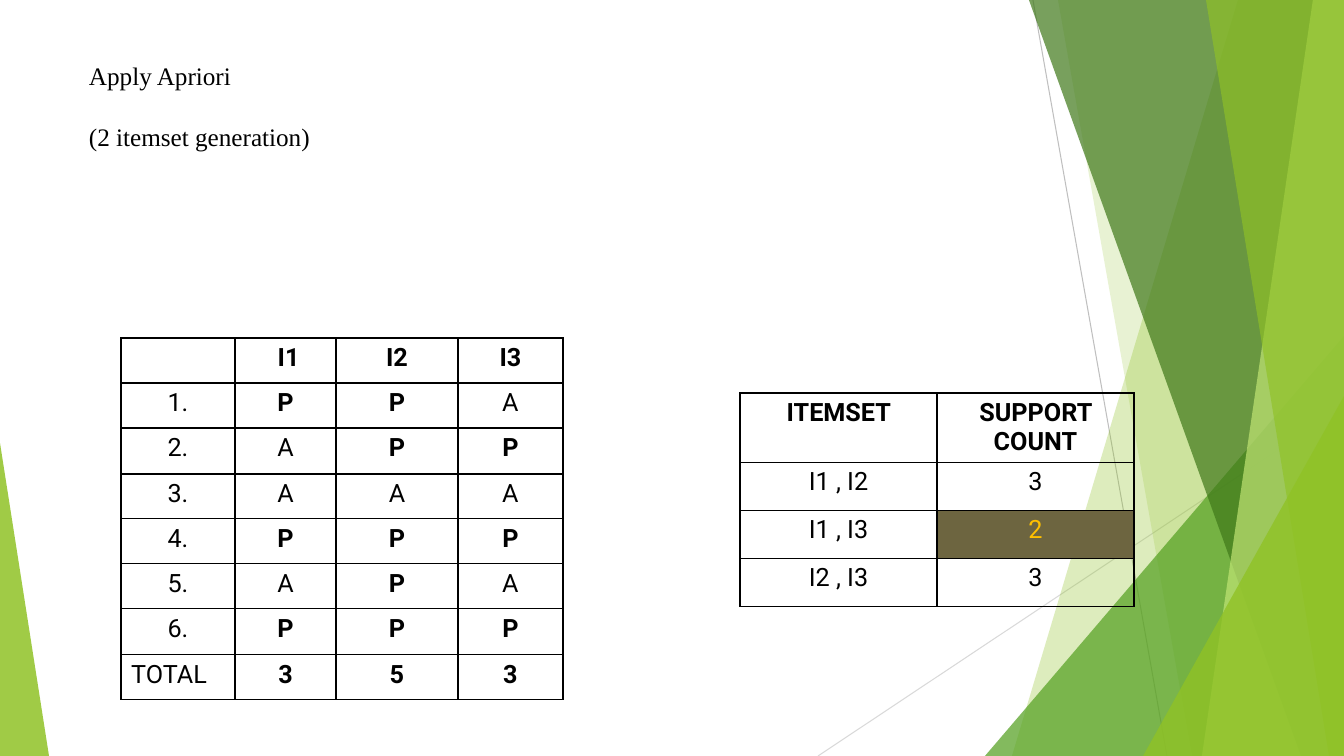
from lxml.etree import SubElement
from pptx import Presentation
from pptx.dml.color import RGBColor
from pptx.enum.shapes import MSO_CONNECTOR as Connector, MSO_SHAPE as Shape
from pptx.enum.text import MSO_AUTO_SIZE as AutoSize, PP_ALIGN as Align
from pptx.oxml.ns import qn
from pptx.util import Emu, Pt

SCALE = 914400 / 100.8
WIDTH, HEIGHT = 1344, 756
BLACK = "000000"
HAIRLINES = [
    ((1033, 0), (1167, HEIGHT), "BFBFBF"),
    ((WIDTH, 406), (818, HEIGHT), "D9D9D9"),
]
BACK_BANDS = [(1238, 1012, "90C226", 30), (1058, 1192, "90C226", 20)]
FRONT_BANDS = [
    (1029, 1301, "3F7819", 70),
    (1313, 1202, "C0E474", 70),
    (1206, 1329, "90C226", 65),
]
PRESENCE = [
    ["", " I1", "I2", "I3"],
    ["1.", "P", "P", "A"],
    ["2.", "A", "P", "P"],
    ["3.", "A", "A", "A"],
    ["4.", "P", "P", "P"],
    ["5.", "A", "P", "A"],
    ["6.", "P", "P", "P"],
    ["TOTAL", "3", "5", "3"],
]
SUPPORT = [
    [" ITEMSET ", "SUPPORT COUNT"],
    ["I1 , I2", "3"],
    ["I1 , I3", "2"],
    ["I2 , I3", "3"],
]


def px(length):
    """Turn pixels into EMU."""
    return Emu(round(length * SCALE))


def color(code):
    """Turn a hex string into a colour."""
    return RGBColor.from_string(code)


def paint(shape, code, opacity):
    """Fill a shape with a translucent colour and drop its outline and shadow."""
    shape.shadow.inherit = False
    shape.line.fill.background()
    shape.fill.solid()
    shape.fill.fore_color.rgb = color(code)
    tint = shape.fill._xPr.find(qn("a:solidFill"))[0]
    SubElement(tint, qn("a:alpha"), val=str(opacity * 1000))


def add_hairline(page, start, end, code):
    """Draw a thin straight line."""
    line = page.shapes.add_connector(Connector.STRAIGHT, *map(px, start + end))
    line.line.color.rgb = color(code)
    line.line.width = Pt(0.75)
    SubElement(line._element.spPr, qn("a:effectLst"))


def add_band(page, top_x, bottom_x, code, opacity):
    """Draw a full-height band from a slanted left edge to the right slide edge."""
    outline = page.shapes.build_freeform(px(top_x), px(0))
    corners = [(WIDTH, 0), (WIDTH, HEIGHT), (bottom_x, HEIGHT)]
    outline.add_line_segments([(px(x), px(y)) for x, y in corners])
    paint(outline.convert_to_shape(), code, opacity)


def add_triangle(page, left, top, width, apex, code, opacity):
    """Draw a right triangle standing on the bottom slide edge."""
    frame = map(px, (left, top, width, HEIGHT - top))
    triangle = page.shapes.add_shape(Shape.ISOSCELES_TRIANGLE, *frame)
    triangle.adjustments[0] = apex
    paint(triangle, code, opacity)


def write(para, text, font="Roboto", size=18, code=BLACK, bold=False,
          align=Align.LEFT, before=0):
    """Write one formatted span into a paragraph."""
    para.alignment = align
    if before:
        para.space_before = Pt(before)
    span = para.add_run()
    span.text = text
    span.font.name = font
    span.font.size = Pt(size)
    span.font.bold = bold
    span.font.color.rgb = color(code)


def add_borders(cell):
    """Give a cell a black rule on every side."""
    properties = cell._tc.get_or_add_tcPr()
    for side in ("lnL", "lnR", "lnT", "lnB"):
        rule = SubElement(properties, qn(f"a:{side}"), w=str(Pt(1)))
        fill = SubElement(rule, qn("a:solidFill"))
        SubElement(fill, qn("a:srgbClr"), val=BLACK)


def add_grid(page, left, top, columns, heights, rows, is_bold):
    """Add a ruled table without fills and return it."""
    frame = map(px, (left, top, sum(columns), sum(heights)))
    table = page.shapes.add_table(len(rows), len(columns), *frame).table
    table.first_row = table.horz_banding = False
    for column, width in zip(table.columns, columns):
        column.width = px(width)
    for row, height in zip(table.rows, heights):
        row.height = px(height)
    for r, texts in enumerate(rows):
        for c, text in enumerate(texts):
            cell = table.cell(r, c)
            add_borders(cell)
            cell.fill.background()
            if text:
                align = Align.LEFT if text == "TOTAL" else Align.CENTER
                write(cell.text_frame.paragraphs[0], text,
                      bold=is_bold(r, c, text), align=align)
    return table


def add_heading(page):
    """Add the two-line heading."""
    box = page.shapes.add_textbox(*map(px, (79, 55, 672, 102)))
    frame = box.text_frame
    frame.word_wrap = True
    frame.auto_size = AutoSize.SHAPE_TO_FIT_TEXT
    write(frame.paragraphs[0], "Apply Apriori", font="Times New Roman")
    write(frame.add_paragraph(), "(2 itemset generation)",
          font="Times New Roman", before=22)


def add_decoration(page):
    """Draw the green facets at the slide edges."""
    for hairline in HAIRLINES:
        add_hairline(page, *hairline)
    for band in BACK_BANDS:
        add_band(page, *band)
    add_triangle(page, 985, 336, 359, 1, "54A021", 72)
    for band in FRONT_BANDS:
        add_band(page, *band)
    add_triangle(page, 1143, 396, 201, 1, "90C226", 80)
    add_triangle(page, 0, 443, 49, 0, "90C226", 85)


def main():
    """Build the slide and save the deck."""
    deck = Presentation()
    deck.slide_width, deck.slide_height = px(WIDTH), px(HEIGHT)
    page = deck.slides.add_slide(deck.slide_layouts[6])
    add_decoration(page)
    add_grid(page, 121, 338, [114, 101, 122, 105], [45, 45, 46, 45] * 2, PRESENCE,
             lambda row, column, text: column > 0 and text != "A")
    support = add_grid(page, 740, 393, [197, 197], [69, 48, 48, 48], SUPPORT,
                       lambda row, column, text: row == 0)
    rejected = support.cell(2, 1)
    rejected.fill.solid()
    rejected.fill.fore_color.rgb = color("6D6540")
    rejected.text_frame.paragraphs[0].runs[0].font.color.rgb = color("FFC000")
    add_heading(page)
    deck.save("out.pptx")


if __name__ == "__main__":
    main()
